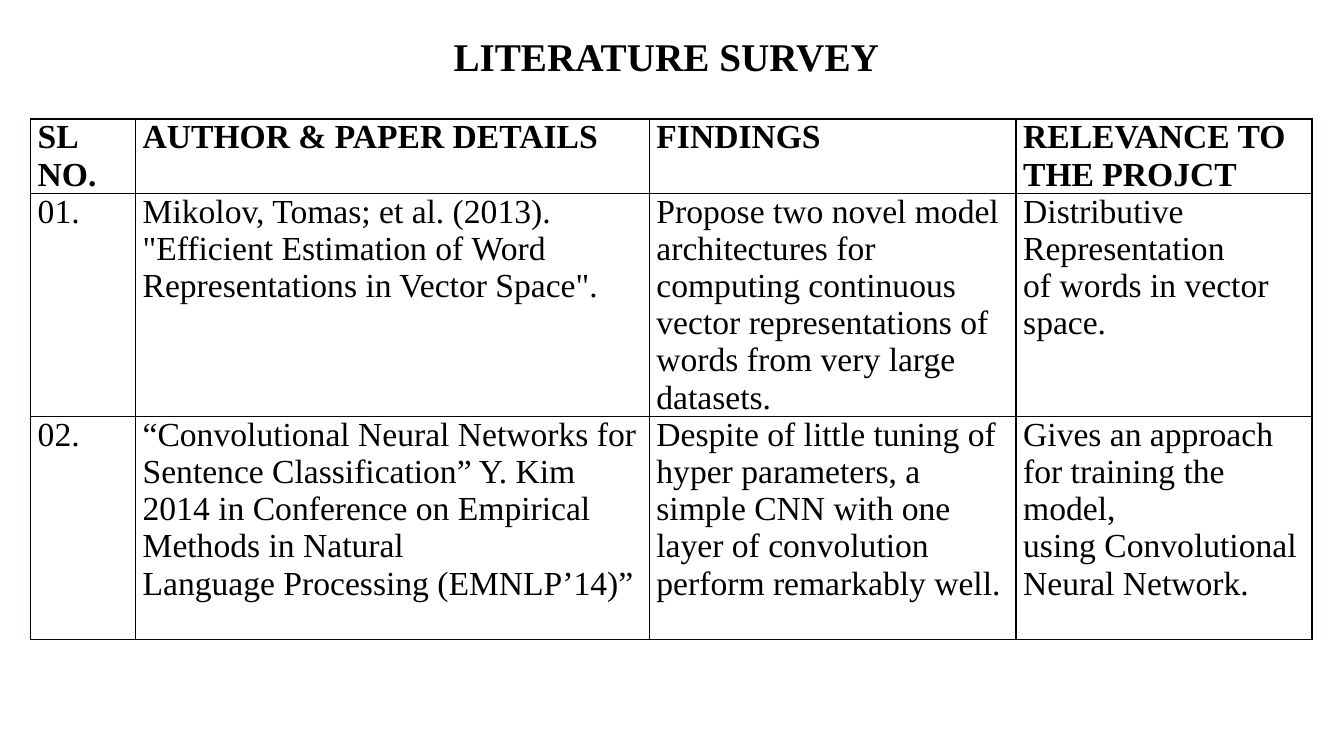
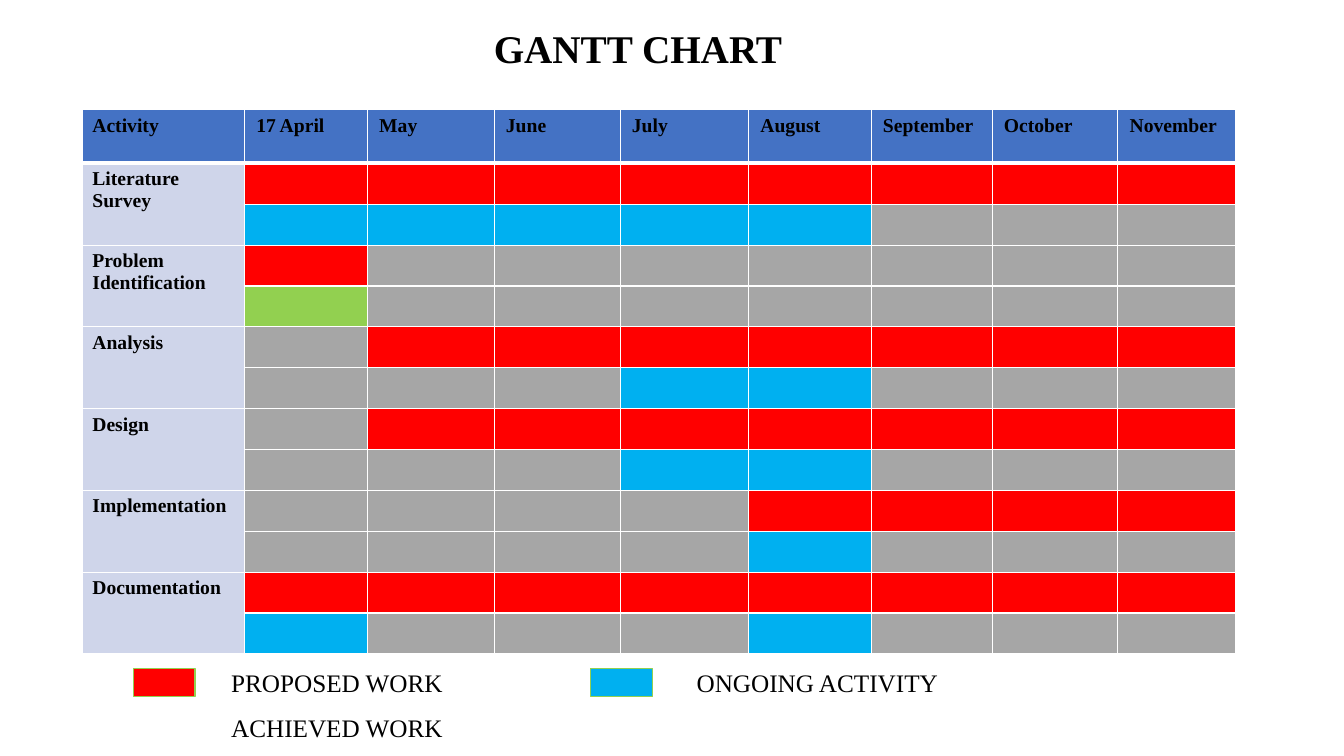
"""Builds a literature survey table and a Gantt chart as two slides."""
import lxml.etree
import pptx
import pptx.dml.color
import pptx.enum.text
import pptx.enum.shapes
import pptx.oxml.ns
import pptx.util

Pt = pptx.util.Pt
ALIGN = pptx.enum.text.PP_ALIGN
ANCHOR = pptx.enum.text.MSO_ANCHOR
FONT = "Times New Roman"
COLORS = {
    "text": "000000", "grid": "080000", "gap": "FFFFFF", "header": "4472C4",
    "activity": "CFD5EA", "proposed": "FF0000", "ongoing": "00B0F0",
    "achieved": "92D050", "idle": "A6A6A6",
}


def rgb(name):
    return pptx.dml.color.RGBColor.from_string(COLORS[name])


def write(frame, text, cell=None, size=18, bold=False, align=ALIGN.LEFT,
          spacing=1.0, insets=(7.2, 3.6), anchor=ANCHOR.TOP):
    holder = cell or frame
    holder.vertical_anchor = anchor
    holder.margin_left = holder.margin_right = Pt(insets[0])
    holder.margin_top = holder.margin_bottom = Pt(insets[1])
    frame.word_wrap = True
    paragraph = frame.paragraphs[0]
    paragraph.alignment = align
    paragraph.line_spacing = spacing
    run = paragraph.add_run()
    run.text = text
    run.font.name = FONT
    run.font.size = Pt(size)
    run.font.bold = bold
    run.font.color.rgb = rgb("text")


class Deck:
    def __init__(self):
        self.show = pptx.Presentation()
        self.show.slide_width = Pt(960)
        self.show.slide_height = Pt(540)
        self.slide = None

    def add_slide(self, title, box, align=ALIGN.CENTER, indent=0):
        self.slide = self.show.slides.add_slide(self.show.slide_layouts[5])
        heading = self.slide.shapes.title
        heading.left, heading.top, heading.width, heading.height = map(Pt, box)
        heading.text_frame.auto_size = pptx.enum.text.MSO_AUTO_SIZE.NONE
        write(heading.text_frame, title, size=28, bold=True, align=align,
              spacing=0.9, anchor=ANCHOR.MIDDLE)
        heading.text_frame.margin_left = Pt(7.2 + indent)

    def table(self, left, top, widths, heights):
        grid = self.slide.shapes.add_table(
            len(heights), len(widths), Pt(left), Pt(top),
            Pt(sum(widths)), Pt(sum(heights))).table
        grid.first_row = grid.horz_banding = False
        for column, width in zip(grid.columns, widths):
            column.width = Pt(width)
        for row, height in zip(grid.rows, heights):
            row.height = Pt(height)
        return grid

    def cell(self, cell, border, fill=None, top=1, bottom=1):
        properties = cell._tc.get_or_add_tcPr()
        for side, weight in (("L", 1), ("R", 1), ("T", top), ("B", bottom)):
            line = lxml.etree.SubElement(
                properties, pptx.oxml.ns.qn("a:ln" + side), w=str(Pt(weight)))
            solid = lxml.etree.SubElement(line, pptx.oxml.ns.qn("a:solidFill"))
            lxml.etree.SubElement(
                solid, pptx.oxml.ns.qn("a:srgbClr"), val=COLORS[border])
        if fill:
            cell.fill.solid()
            cell.fill.fore_color.rgb = rgb(fill)
        else:
            cell.fill.background()

    def label(self, text, left, top, width):
        box = self.slide.shapes.add_textbox(
            Pt(left), Pt(top), Pt(width), Pt(29))
        write(box.text_frame, text)

    def swatch(self, status, left, top):
        key = self.slide.shapes.add_shape(
            pptx.enum.shapes.MSO_SHAPE.RECTANGLE,
            Pt(left), Pt(top), Pt(44), Pt(20))
        key.shadow.inherit = False
        key.fill.solid()
        key.fill.fore_color.rgb = rgb(status)
        key.line.color.rgb = rgb("achieved")
        key.line.width = Pt(1)


SURVEY = [
    ("SL NO.", "AUTHOR & PAPER DETAILS", "FINDINGS",
     "RELEVANCE TO THE PROJCT\u00a0"),
    ("01.",
     "Mikolov, Tomas; et al. (2013). \"Efficient Estimation of\u00a0Word "
     "Representations in Vector Space\".",
     "Propose two novel model architectures for computing continuous vector "
     "representations of words from very large datasets.",
     "Distributive Representation of\u00a0words in vector space."),
    ("02.",
     "“Convolutional Neural Networks for Sentence\u00a0Classification” Y. Kim "
     "2014 in Conference on\u00a0Empirical Methods in Natural "
     "Language\u00a0Processing (EMNLP’14)”",
     "Despite\u00a0of little tuning of hyper\u00a0parameters, a simple CNN "
     "with\u00a0one layer of convolution perform\u00a0remarkably well.",
     "Gives an approach for\u00a0training the model, using\u00a0Convolutional "
     "Neural\u00a0Network.\u00a0"),
]
MONTHS = ["17 April", "May", "June", "July", "August", "September",
          "October", "November"]
STATUS = {"P": "proposed", "O": "ongoing", "A": "achieved", ".": "idle"}
PLAN = [
    ("Literature Survey\u00a0", "PPPPPPPP", "OOOOO..."),
    ("Problem Identification", "P.......", "A......."),
    ("Analysis", ".PPPPPPP", "...OO..."),
    ("Design", ".PPPPPPP", "...OO..."),
    ("Implementation", "....PPPP", "....O..."),
    ("Documentation", "PPPPPPPP", "O...O..."),
]

deck = Deck()
deck.add_slide("LITERATURE SURVEY", (16.5, 8, 918.7, 67.7))
survey = deck.table(21.75, 85, [75, 367, 262, 211.5], [53.2, 159.4, 159.4])
for row, entries in enumerate(SURVEY):
    for column, entry in enumerate(entries):
        cell = survey.cell(row, column)
        deck.cell(cell, "grid")
        write(cell.text_frame, entry, cell, size=24, bold=row == 0,
              insets=(5.2, 0))

deck.add_slide("GANTT CHART", (66, 10.8, 828, 51), ALIGN.LEFT, indent=279.5)
gantt = deck.table(58.8, 78.5,
                   [115.9, 87.8, 90.5, 90, 91.8, 87.6, 86.4, 89.8, 83.8],
                   [38.2] + [29.2] * (2 * len(PLAN)))
for column, heading in enumerate(["Activity"] + MONTHS):
    cell = gantt.cell(0, column)
    deck.cell(cell, "gap", "header", bottom=3)
    write(cell.text_frame, heading, cell, size=14, bold=True,
          insets=(8.4 if column else 7.2, 3.6))
for index, (activity, *tracks) in enumerate(PLAN):
    first = 1 + 2 * index
    for row, track in enumerate(tracks, first):
        top = 3 if row == 1 else 1
        deck.cell(gantt.cell(row, 0), "gap", "activity", top=top)
        for column, code in enumerate(track, 1):
            deck.cell(gantt.cell(row, column), "gap", STATUS[code], top=top)
    name = gantt.cell(first, 0)
    name.merge(gantt.cell(first + 1, 0))
    write(name.text_frame, activity, name, size=14, bold=True)

deck.label("PROPOSED WORK", 158, 473, 204)
deck.label("ONGOING ACTIVITY", 490.5, 473, 189)
deck.label("ACHIEVED WORK", 158, 505.5, 204)
deck.swatch("proposed", 95.3, 477.5)
deck.swatch("ongoing", 422, 477.5)

deck.show.save("out.pptx")
